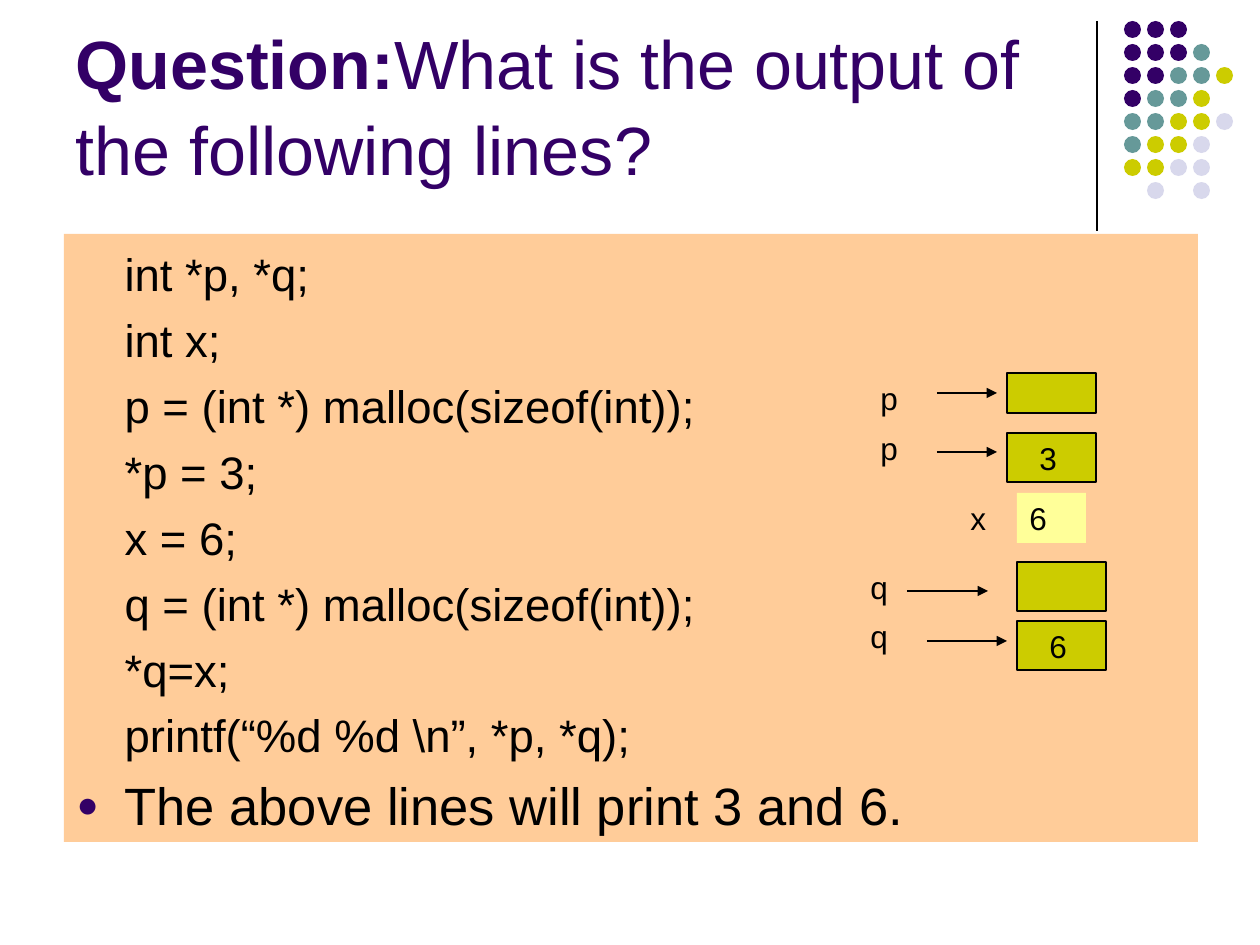
from dataclasses import dataclass

from lxml.etree import SubElement
from pptx import Presentation
from pptx.dml.color import RGBColor as Rgb
from pptx.enum.shapes import MSO_CONNECTOR as Link, MSO_SHAPE as Kind
from pptx.enum.text import MSO_ANCHOR as Anchor, MSO_AUTO_SIZE as Fit, PP_ALIGN as Align
from pptx.oxml.ns import qn
from pptx.util import Emu, Pt


@dataclass(frozen=True)
class Theme:
    font: str = "Arial"
    ink: str = "000000"
    purple: str = "330066"
    teal: str = "669999"
    olive: str = "CCCC00"
    mist: str = "D8D8EC"
    peach: str = "FFCC99"
    cream: str = "FFFF99"
    title: int = 39
    code: int = 26
    answer: int = 30
    label: int = 18
    rule: float = 0.75


THEME = Theme()
DOTS = ["ppp", "pppt", "pptty", "ptty", "ttyyl", "tyyl", "yyll", " l l"]
TINTS = {"p": THEME.purple, "t": THEME.teal, "y": THEME.olive, "l": THEME.mist}
CODE = [
    "int *p, *q;",
    "int x;",
    "p = (int *) malloc(sizeof(int));",
    "*p = 3;",
    "x = 6;",
    "q = (int *) malloc(sizeof(int));",
    "*q=x;",
    "printf(“%d %d \\n”, *p, *q);",
]
ANSWER = "The above lines will print 3 and 6."


def px(n):
    return Emu(round(n * 914400 / 126))


def apply(item, **values):
    for name, value in values.items():
        setattr(item, name, value)


def place(shape, box):
    apply(shape, **dict(zip(("left", "top", "width", "height"), map(px, box))))


def write(para, text, size, color=THEME.ink, bold=False):
    run = para.add_run()
    run.text = text
    apply(run.font, name=THEME.font, size=Pt(size), bold=bold)
    run.font.color.rgb = Rgb.from_string(color)


def add_block(shapes, kind, box, fill, line=None):
    shape = shapes.add_shape(kind, *map(px, box))
    shape.shadow.inherit = False
    shape.fill.solid()
    shape.fill.fore_color.rgb = Rgb.from_string(fill)
    if line:
        shape.line.color.rgb = Rgb.from_string(line)
        shape.line.width = Pt(THEME.rule)
    else:
        shape.line.fill.background()
    return shape


def add_rule(shapes, start, end, arrow=False):
    rule = shapes.add_connector(Link.STRAIGHT, *map(px, start + end))
    rule.line.color.rgb = Rgb.from_string(THEME.ink)
    rule.line.width = Pt(THEME.rule)
    if arrow:
        SubElement(rule.line._get_or_add_ln(), qn("a:tailEnd"), type="triangle")
    SubElement(rule._element.spPr, qn("a:effectLst"))


def add_label(shapes, text, box):
    label = shapes.add_textbox(*map(px, box))
    label.text_frame.word_wrap = True
    write(label.text_frame.paragraphs[0], text, THEME.label)


def add_corner(slide, box):
    """Draw the upright rule and the dot grid to its right."""
    left, top, _, height = box
    add_rule(slide.shapes, (left, top), (left, top + height))
    dots = slide.shapes.add_group_shape().shapes
    step, size = 23, 17
    for row, marks in enumerate(DOTS):
        for col, mark in enumerate(marks):
            if mark in TINTS:
                spot = (left + 27 + col * step, top + row * step, size, size)
                add_block(dots, Kind.OVAL, spot, TINTS[mark])


def fill_title(title, box):
    place(title, box)
    frame = title.text_frame
    apply(frame, vertical_anchor=Anchor.BOTTOM, auto_size=Fit.NONE, word_wrap=True)
    para = frame.paragraphs[0]
    apply(para, alignment=Align.LEFT, line_spacing=1.05)
    write(para, "Question:", THEME.title, THEME.purple, True)
    write(para, "What is the output of the following lines?", THEME.title, THEME.purple)


def set_indent(para, left, bullet):
    """Hang the first line by 48 px, with or without a bullet."""
    props = para._p.get_or_add_pPr()
    props.set("marL", str(px(left)))
    props.set("indent", str(px(-48)))
    if not bullet:
        SubElement(props, qn("a:buNone"))
        return
    color = SubElement(props, qn("a:buClr"))
    SubElement(color, qn("a:srgbClr"), val=THEME.purple)
    SubElement(props, qn("a:buSzPct"), val="70000")
    SubElement(props, qn("a:buFont"), typeface=THEME.font)
    SubElement(props, qn("a:buChar"), char="●")


def fill_body(body, box):
    place(body, box)
    body.fill.solid()
    body.fill.fore_color.rgb = Rgb.from_string(THEME.peach)
    frame = body.text_frame
    apply(frame, auto_size=Fit.NONE, word_wrap=True, margin_top=px(12))
    for text in CODE + [ANSWER]:
        last = text == ANSWER
        para = frame.paragraphs[0] if text == CODE[0] else frame.add_paragraph()
        apply(para, level=0 if last else 1, alignment=Align.LEFT, space_before=Pt(6.5))
        set_indent(para, 48 if last else 96, last)
        write(para, text, THEME.answer if last else THEME.code)


def add_memory(slide, box):
    """Draw each pointer, its arrow and the cell that it points to."""
    left, top = box[:2]
    shapes = slide.shapes.add_group_shape().shapes
    # name, name x, name y, arrow x, arrow y, arrow length, cell x, cell y, cell height
    rows = [
        ("p", 10, 0, 79, 20, 60, 149, 0, 40),
        ("p", 10, 50, 79, 79, 60, 149, 60, 49),
        ("q", 0, 189, 49, 218, 81, 159, 189, 49),
        ("q", 0, 238, 69, 268, 80, 159, 248, 49),
    ]
    for name, tx, ty, ax, ay, span, cx, cy, tall in rows:
        cell = (left + cx, top + cy, 89, tall)
        add_block(shapes, Kind.RECTANGLE, cell, THEME.olive, THEME.ink)
        start = (left + ax, top + ay)
        add_rule(shapes, start, (start[0] + span, start[1]), arrow=True)
        add_label(shapes, name, (left + tx, top + ty, 49, 50))
    add_block(shapes, Kind.RECTANGLE, (left + 159, top + 120, 69, 50), THEME.cream)
    for text, x, y, wide in [("3", 169, 60, 40), ("x", 100, 120, 59),
                             ("6", 159, 120, 69), ("6", 179, 248, 49)]:
        add_label(shapes, text, (left + x, top + y, wide, 50))


def main():
    deck = Presentation()
    apply(deck, slide_width=px(1260), slide_height=px(945))
    slide = deck.slides.add_slide(deck.slide_layouts[1])
    add_corner(slide, (1097, 21, 136, 210))
    fill_title(slide.shapes.title, (63, 16, 1040, 179))
    fill_body(slide.placeholders[1], (64, 234, 1134, 608))
    add_memory(slide, (858, 373, 249, 298))
    deck.save("out.pptx")


if __name__ == "__main__":
    main()
